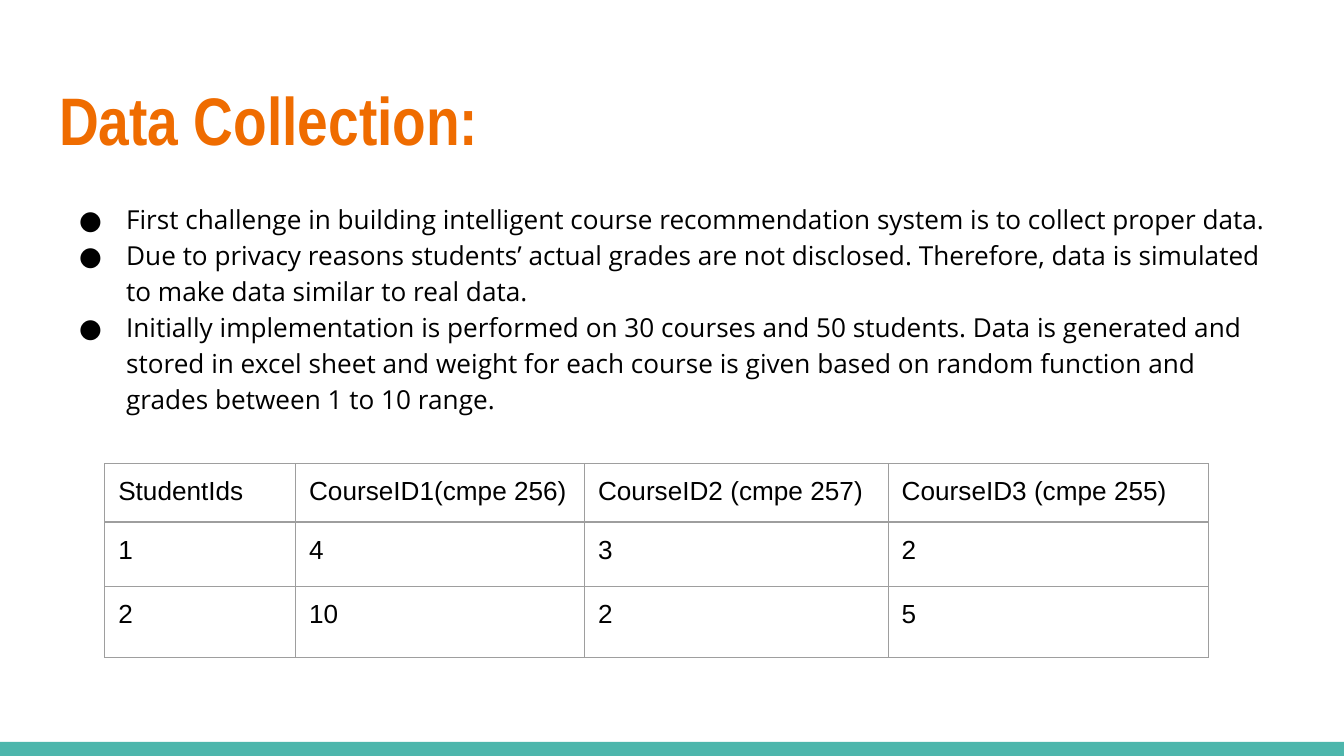
from pptx import Presentation
from pptx.dml.color import RGBColor
from pptx.enum.shapes import MSO_SHAPE
from pptx.enum.text import MSO_ANCHOR, MSO_AUTO_SIZE, PP_ALIGN
from pptx.oxml import parse_xml
from pptx.oxml.ns import nsdecls
from pptx.util import Inches, Pt

BLACK = RGBColor(0x00, 0x00, 0x00)
ORANGE = RGBColor(0xEF, 0x6C, 0x00)
TEAL = RGBColor(0x4D, 0xB6, 0xAC)
GREY = RGBColor(0x9E, 0x9E, 0x9E)

POINTS = [
    "First challenge in building intelligent course recommendation system is to collect proper data.",
    "Due to privacy reasons students’ actual grades are not disclosed. "
    "Therefore, data is simulated to make data similar to real data.",
    "Initially implementation is performed on 30 courses and 50 students. "
    "Data is generated and stored in excel sheet and weight for each course is given "
    "based on random function and grades between 1 to 10 range.",
]
GRADES = [
    ["StudentIds", "CourseID1(cmpe 256)", "CourseID2 (cmpe 257)", "CourseID3 (cmpe 255)"],
    ["1", "4", "3", "2"],
    ["2", "10", "2", "5"],
]
WIDTHS = [1.42, 2.15, 2.26, 2.38]
HEIGHTS = [0.33, 0.48, 0.53]


class Page:
    """Holds the style and the current slide, and draws each kind of element."""

    def __init__(self, slide):
        self.slide = slide
        self.pad = Inches(0.1)
        self.size = Pt(14)

    def inset(self, item):
        item.margin_left = item.margin_right = self.pad
        item.margin_top = item.margin_bottom = self.pad

    def style(self, para, face, size, color, bold=False):
        font = para.font
        font.name, font.size, font.bold = face, size, bold
        font.color.rgb = color
        para.alignment = PP_ALIGN.LEFT

    def bar(self, left, top, width, height, color):
        shape = self.slide.shapes.add_shape(
            MSO_SHAPE.RECTANGLE, Inches(left), Inches(top), Inches(width), Inches(height))
        shape.shadow.inherit = False
        shape.fill.solid()
        shape.fill.fore_color.rgb = color
        shape.line.fill.background()

    def title(self, text, left, top, width, height):
        shape = self.slide.shapes.title
        shape.left, shape.top = Inches(left), Inches(top)
        shape.width, shape.height = Inches(width), Inches(height)
        frame = shape.text_frame
        frame.text = text
        frame.auto_size = MSO_AUTO_SIZE.NONE
        frame.vertical_anchor = MSO_ANCHOR.TOP
        self.inset(frame)
        self.style(frame.paragraphs[0], "Arial Narrow", Pt(36), ORANGE, True)

    def bullets(self, lines, left, top, width, height):
        box = self.slide.shapes.add_textbox(
            Inches(left), Inches(top), Inches(width), Inches(height))
        frame = box.text_frame
        frame.word_wrap = True
        self.inset(frame)
        frame.text = "\n".join(lines)
        for para in frame.paragraphs:
            self.style(para, "Open Sans", self.size, BLACK)
            para.line_spacing = 1.15
            props = para._p.get_or_add_pPr()
            props.set("marL", str(Inches(0.5)))
            props.set("indent", str(Inches(-0.35)))
            marks = (
                f'<a:buClr {nsdecls("a")}><a:srgbClr val="{BLACK}"/></a:buClr>',
                f'<a:buFont {nsdecls("a")} typeface="Open Sans"/>',
                f'<a:buChar {nsdecls("a")} char="●"/>',
            )
            spot = 1
            for mark in marks:
                props.insert(spot, parse_xml(mark))
                spot += 1

    def border(self, cell):
        props = cell._tc.get_or_add_tcPr()
        for spot, side in enumerate(("lnL", "lnR", "lnT", "lnB")):
            props.insert(spot, parse_xml(
                f'<a:{side} {nsdecls("a")} w="{Pt(0.75)}"><a:solidFill>'
                f'<a:srgbClr val="{GREY}"/></a:solidFill></a:{side}>'))

    def table(self, rows, left, top, widths, heights):
        table = self.slide.shapes.add_table(
            len(rows), len(widths), Inches(left), Inches(top),
            Inches(sum(widths)), Inches(sum(heights))).table
        table.first_row = table.horz_banding = False
        for col, width in zip(table.columns, widths):
            col.width = Inches(width)
        for row, height, texts in zip(table.rows, heights, rows):
            row.height = Inches(height)
            for cell, text in zip(row.cells, texts):
                cell.text = text
                cell.fill.background()
                self.inset(cell)
                self.style(cell.text_frame.paragraphs[0], "Arial", self.size, BLACK)
                self.border(cell)


def main():
    deck = Presentation()
    deck.slide_width, deck.slide_height = Inches(10), Inches(5.625)
    page = Page(deck.slides.add_slide(deck.slide_layouts[5]))
    page.bar(0, 5.52, 10, 0.11, TEAL)
    page.title("Data Collection:", 0.34, 0.48, 9.32, 0.77)
    page.bullets(POINTS, 0.34, 1.38, 9.32, 4.11)
    page.table(GRADES, 0.78, 3.45, WIDTHS, HEIGHTS)
    deck.save("out.pptx")


if __name__ == "__main__":
    main()
